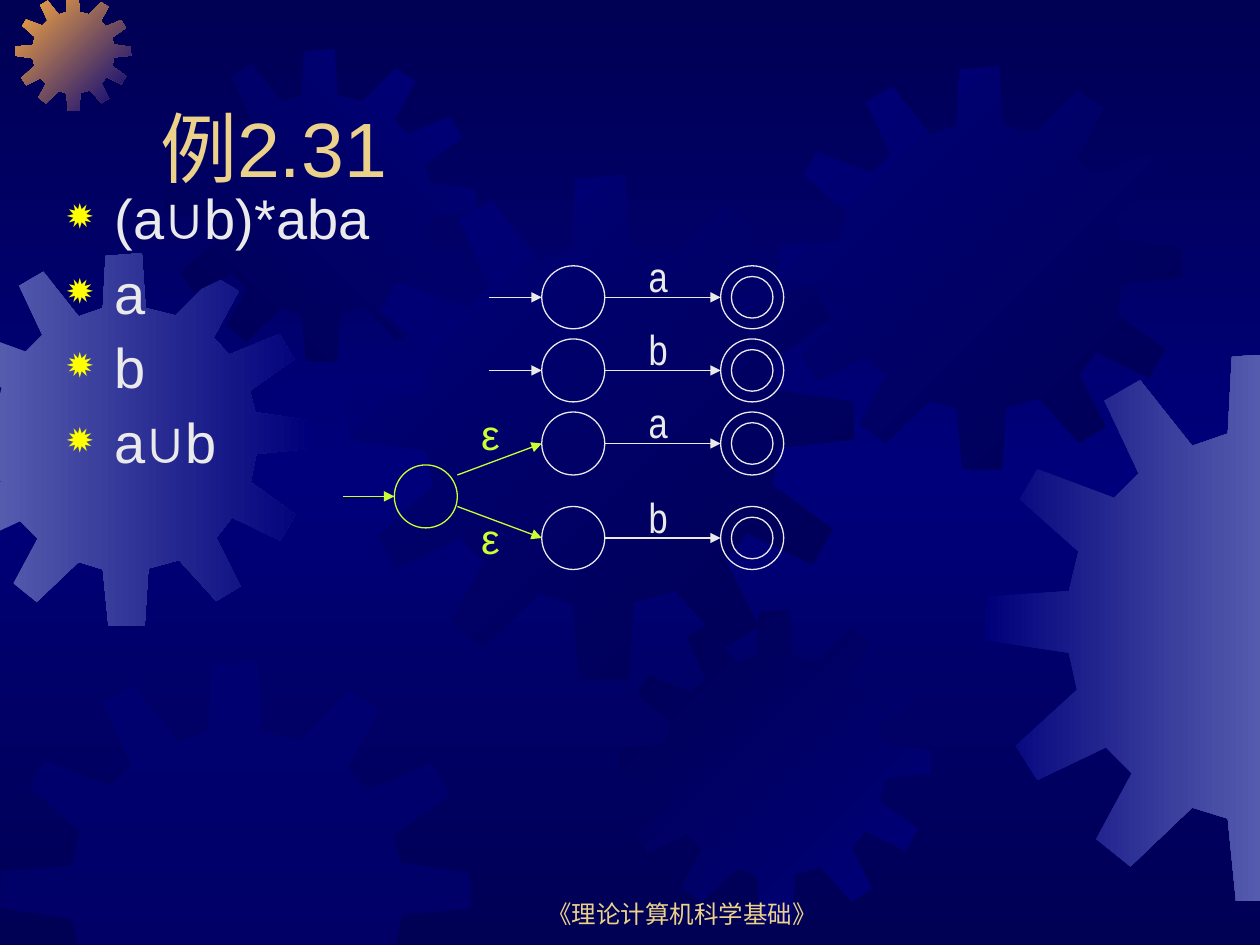
import copy
import pptx
import pptx.dml.color
import pptx.enum.shapes
import pptx.enum.text
import pptx.oxml
import pptx.oxml.ns
import pptx.util
from lxml import etree

Inches = pptx.util.Inches
Pt = pptx.util.Pt
RGB = pptx.dml.color.RGBColor.from_string
qn = pptx.oxml.ns.qn
Anchor = pptx.enum.text.MSO_ANCHOR
Align = pptx.enum.text.PP_ALIGN
Fit = pptx.enum.text.MSO_AUTO_SIZE


class Theme:
    dark, blue, pale, orange = "000054", "00007A", "555BAD", "FCAB40"
    gold, white, lime, yellow = "EBD189", "EAEAEA", "CCFF33", "FFFF00"
    title, body, label, foot = Pt(44), Pt(32), Pt(24), Pt(14)
    font, narrow = "Arial", "Arial Narrow"
    line = Pt(0.75)


def style(frame, size, color, font=Theme.font):
    """Format every run of a text frame."""
    for para in frame.paragraphs:
        for run in para.runs:
            run.font.size = size
            run.font.name = font
            run.font.color.rgb = RGB(color)


def blend(fill, first, last, angle):
    """Two-colour linear gradient, angle counted clockwise."""
    fill.gradient()
    fill.gradient_angle = (360 - angle) % 360
    for stop, color, place in zip(fill.gradient_stops, (first, last), (0, 1)):
        stop.color.rgb = RGB(color)
        stop.position = place


prs = pptx.Presentation()
prs.slide_width, prs.slide_height = Inches(10), Inches(7.5)
slide = prs.slides.add_slide(prs.slide_layouts[5])
shapes = slide.shapes

# Background: dark at top and bottom, lighter in the middle
blend(slide.background.fill, Theme.dark, Theme.blue, 90)
stops = slide._element.find(".//" + qn("a:gsLst"))
stops.append(copy.deepcopy(stops[0]))
stops[1].set("pos", "50000")
stops[2].set("pos", "100000")

# Gears: one outline, 401 units wide, scaled and cut at the slide edges
GEAR = [
    (255, 67), (223, 59), (219, 0), (180, 3), (177, 59), (151, 68),
    (113, 20), (87, 35), (112, 88), (94, 106), (38, 85), (25, 107),
    (68, 145), (61, 174), (1, 178), (0, 210), (61, 219), (67, 246),
    (22, 287), (38, 312), (88, 288), (107, 307), (81, 355), (106, 375),
    (151, 332), (177, 340), (183, 400), (222, 401), (226, 339), (259, 330),
    (299, 374), (325, 358), (299, 306), (316, 284), (368, 309), (384, 281),
    (336, 246), (342, 216), (401, 210), (400, 180), (341, 171), (335, 148),
    (383, 114), (367, 87), (313, 109), (296, 91), (323, 41), (297, 25),
]
EDGES = [(0, 0, 1), (0, 10, -1), (1, 0, 1), (1, 7.5, -1)]  # axis, limit, inward
gears = [  # left, top, width, first colour, last colour, angle
    (-0.49, 2.01, 2.96, Theme.pale, Theme.blue, 0),
    (0.12, -0.04, 0.92, Theme.orange, Theme.blue, 45),
    (1.3, 0.39, 2.48, Theme.dark, Theme.blue, 315),
    (2.77, 1.39, 4.01, Theme.blue, Theme.dark, 45),
    (0, 5.25, 3.74, Theme.blue, None, 0),
    (4.91, 4.84, 2.48, Theme.dark, Theme.blue, 45),
    (6.18, 0.53, 3.2, Theme.blue, Theme.dark, 45),
    (7.82, 2.8, 4.36, Theme.blue, Theme.pale, 0),
]
for left, top, width, first, last, angle in gears:
    points = [(left + x * width / 401, top + y * width / 401) for x, y in GEAR]
    for axis, limit, sign in EDGES:
        kept = []
        for p, q in zip(points, points[1:] + points[:1]):
            dp, dq = sign * (p[axis] - limit), sign * (q[axis] - limit)
            if dp >= 0:
                kept.append(p)
            if dp * dq < 0:
                t = dp / (dp - dq)
                kept.append((p[0] + t * (q[0] - p[0]), p[1] + t * (q[1] - p[1])))
        points = kept
    points = [(Inches(x), Inches(y)) for x, y in points]
    build = shapes.build_freeform(*points[0])
    build.add_line_segments(points[1:], close=True)
    gear = build.convert_to_shape()
    gear.shadow.inherit = False
    gear.line.fill.background()
    if last:
        blend(gear.fill, first, last, angle)
    else:
        gear.fill.solid()
        gear.fill.fore_color.rgb = RGB(first)
        tint = gear._element.spPr.find(".//" + qn("a:srgbClr"))
        etree.SubElement(tint, qn("a:alpha")).set("val", "50000")

# Title, brought in front of the gears
title = shapes.title
title.left, title.top = Inches(1.17), Inches(0.33)
title.width, title.height = Inches(8.5), Inches(1.25)
frame = title.text_frame
frame.text = "例2.31"
frame.auto_size = Fit.NONE
frame.vertical_anchor = Anchor.BOTTOM
frame.paragraphs[0].alignment = Align.LEFT
style(frame, Theme.title, Theme.gold)
shapes._spTree.append(title._element)

# Footer
frame = shapes.add_textbox(Inches(3.83), Inches(6.92), Inches(3.17), Inches(0.5)).text_frame
frame.text = "《理论计算机科学基础》"
frame.word_wrap = True
frame.vertical_anchor = Anchor.BOTTOM
frame.paragraphs[0].alignment = Align.CENTER
style(frame, Theme.foot, Theme.gold)

# Bulleted expressions
frame = shapes.add_textbox(Inches(0.43), Inches(1.47), Inches(8.5), Inches(2.5)).text_frame
frame.text = "\n".join(["(a∪b)*aba", "a", "b", "a∪b"])
frame.word_wrap = True
for para in frame.paragraphs:
    para.line_spacing = 0.9
    para.space_before = Pt(8)
    props = para._p.get_or_add_pPr()
    props.set("marL", str(Inches(0.38)))
    props.set("indent", str(-Inches(0.38)))
    tint = etree.SubElement(props, qn("a:buClr"))
    etree.SubElement(tint, qn("a:srgbClr")).set("val", Theme.yellow)
    etree.SubElement(props, qn("a:buSzPct")).set("val", "80000")
    etree.SubElement(props, qn("a:buChar")).set("char", "✹")
style(frame, Theme.body, Theme.white)

# Automata: four rows, the last two joined by a new start state
rows = [(2.36, "a"), (2.94, "b"), (3.52, "a"), (4.27, "b")]
mid = 3.94
states = [(3.38, mid, 0.5, Theme.lime)]  # centre x, centre y, size, colour
arrows = [(2.72, mid, 3.13, mid, Theme.lime)]
labels = []  # left, top, width, text, colour, font
for y, sign in rows:
    states += [(x, y, size, Theme.white)
               for x, size in ((4.55, 0.5), (5.97, 0.5), (5.97, 0.33))]
    arrows.append((4.8, y, 5.72, y, Theme.white))
    labels.append((5.05, y - 0.42, 0.5, sign, Theme.white, Theme.narrow))
for y, sign in rows[:2]:
    arrows.append((3.88, y, 4.3, y, Theme.white))
for start, end, top in ((3.77, 3.52, 3.19), (4.02, 4.27, 4.02)):
    arrows.append((3.63, start, 4.3, end, Theme.lime))
    labels.append((3.72, top, 0.42, "ε", Theme.lime, Theme.font))

for x, y, size, color in states:
    state = shapes.add_shape(
        pptx.enum.shapes.MSO_SHAPE.OVAL,
        Inches(x - size / 2), Inches(y - size / 2), Inches(size), Inches(size))
    state.shadow.inherit = False
    state.fill.background()
    state.line.color.rgb = RGB(color)
    state.line.width = Theme.line

for x1, y1, x2, y2, color in arrows:
    arrow = shapes.add_connector(
        pptx.enum.shapes.MSO_CONNECTOR.STRAIGHT,
        Inches(x1), Inches(y1), Inches(x2), Inches(y2))
    arrow.line.color.rgb = RGB(color)
    arrow.line.width = Theme.line
    etree.SubElement(arrow.line._get_or_add_ln(), qn("a:tailEnd")).set("type", "triangle")
    etree.SubElement(arrow._element.spPr, qn("a:effectLst"))

for left, top, width, sign, color, font in labels:
    frame = shapes.add_textbox(Inches(left), Inches(top), Inches(width), Inches(0.5)).text_frame
    frame.text = sign
    frame.word_wrap = True
    frame.auto_size = Fit.SHAPE_TO_FIT_TEXT
    frame.paragraphs[0].space_before = Pt(15)
    style(frame, Theme.label, color, font)

prs.save("out.pptx")
